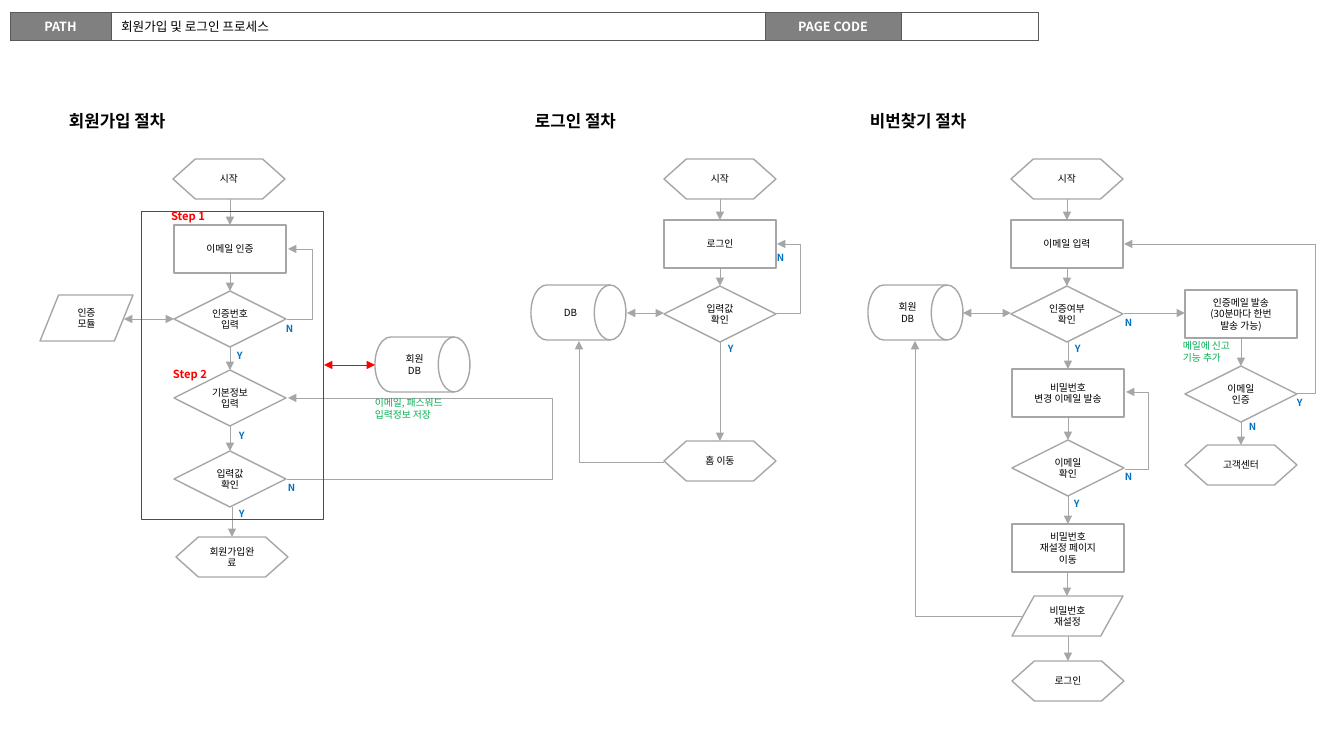
from lxml.etree import SubElement
from pptx import Presentation
from pptx.dml.color import RGBColor
from pptx.enum.shapes import MSO_CONNECTOR, MSO_SHAPE
from pptx.enum.text import MSO_ANCHOR, PP_ALIGN
from pptx.oxml.ns import qn
from pptx.util import Pt

PX = 914400 / 100.8
FONT = "Noto Sans CJK KR"
COLORS = {"black": "000000", "white": "FFFFFF", "head": "808080", "border": "595959",
          "line": "A6A6A6", "red": "FF0000", "answer": "0070C0", "note": "00B050"}

HEADER = [("PATH", 101, True), ("회원가입 및 로그인 프로세스", 654, False),
          ("PAGE CODE", 136, True), ("", 137, False)]
HEADER_BOX = (10, 12, 23)  # left, top, height

# kind: preset, width, height
KINDS = {"prep": (MSO_SHAPE.FLOWCHART_PREPARATION, 112, 40),
         "process": (MSO_SHAPE.FLOWCHART_PROCESS, 112, 48),
         "decision": (MSO_SHAPE.FLOWCHART_DECISION, 112, 56),
         "drum": (MSO_SHAPE.FLOWCHART_DIRECT_ACCESS_STORAGE, 95, 55),
         "module": (MSO_SHAPE.FLOWCHART_DATA, 93, 46),
         "reset": (MSO_SHAPE.FLOWCHART_DATA, 111, 40)}

# each chain runs downwards, one arrow between neighbours: kind, left, top, text
CHAINS = [
    [("prep", 173, 159, "시작"), ("process", 174, 225, "이메일 인증"),
     ("decision", 174, 291, "인증번호입력"), ("decision", 174, 370, "기본정보입력"),
     ("decision", 174, 451, "입력값 확인"), ("prep", 176, 537, "회원가입완료")],
    [("prep", 664, 159, "시작"), ("process", 664, 220, "로그인"),
     ("decision", 664, 286, "입력값 확인"), ("prep", 664, 441, "홈 이동")],
    [("prep", 1011, 159, "시작"), ("process", 1011, 220, "이메일 입력"),
     ("decision", 1011, 286, "인증여부 확인"),
     ("process", 1012, 369, "비밀번호\n변경 이메일 발송"),
     ("decision", 1012, 440, "이메일 확인"),
     ("process", 1012, 524, "비밀번호\n재설정 페이지\n이동"),
     ("reset", 1012, 596, "비밀번호\n재설정"), ("prep", 1012, 661, "로그인")],
    [("process", 1185, 290, "인증메일 발송\n(30분마다 한번\n발송 가능)"),
     ("decision", 1185, 366, "이메일 인증"), ("prep", 1185, 445, "고객센터")],
    [("module", 40, 295, "인증\n모듈")],
    [("drum", 375, 337, "회원 DB")],
    [("drum", 531, 285, "DB")],
    [("drum", 868, 285, "회원 DB")],
]

# x1, x2, y, colour, arrow at both ends
LEVEL_ARROWS = [(174, 124, 319, "line", True), (375, 324, 365, "red", True),
                (664, 627, 313, "line", True), (1011, 963, 313, "line", True),
                (1124, 1185, 313, "line", False)]
# x1, y1, x2, y2, x of the upright part
LOOPS = [(287, 319, 288, 249, 313), (287, 479, 288, 398, 554), (776, 313, 777, 244, 801),
         (1125, 469, 1126, 392, 1149), (1297, 393, 1124, 244, 1315)]
CORNERS = [(664, 462, 579, 341), (1023, 616, 915, 341)]

STEP_FRAME = (141, 211, 182, 308)
STEPS = [("Step 1", 160, 205), ("Step 2", 162, 363)]
STEP_SIZE = (52, 23)

# style: width, height, size, colour, bold
STYLES = {"title": (398, 30, 12, "black", True), "answer": (63, 22, 7, "answer", True),
          "note": (121, 34, 7, "note", False)}
TEXTS = {
    "title": [("회원가입 절차", 59, 106), ("로그인 절차", 525, 106), ("비번찾기 절차", 860, 106)],
    "answer": [("Y", 227, 345), ("N", 276, 318), ("Y", 229, 425), ("N", 278, 477),
               ("Y", 229, 503), ("N", 767, 247), ("Y", 718, 338), ("N", 1115, 312),
               ("Y", 1065, 338), ("N", 1115, 466), ("Y", 1064, 493), ("Y", 1287, 392),
               ("N", 1239, 416)],
    "note": [("메일에 신고\n기능 추가", 1173, 335), ("이메일, 패스워드\n입력정보 저장", 365, 392)],
}


def emu(*lengths):
    """Turn pixels into EMU."""
    return [round(n * PX) for n in lengths]


def rgb(name):
    """Give the named colour."""
    return RGBColor.from_string(COLORS[name])


def write(tf, text, size, color, bold=False, align=PP_ALIGN.LEFT):
    """Write each line of text as one paragraph."""
    for i, line in enumerate(text.split("\n")):
        p = tf.add_paragraph() if i else tf.paragraphs[0]
        p.alignment = align
        r = p.add_run()
        r.text = line
        r.font.size, r.font.bold, r.font.name = Pt(size), bold, FONT
        r.font.color.rgb = rgb(color)
        SubElement(r._r.get_or_add_rPr(), qn("a:ea"), typeface=FONT)


def add_outline(s, preset, box, color=None, width=1):
    """Add an unfilled shape, with a line if a colour is given."""
    sp = s.shapes.add_shape(preset, *emu(*box))
    sp.shadow.inherit = False
    sp.fill.background()
    if color:
        sp.line.color.rgb, sp.line.width = rgb(color), Pt(width)
    else:
        sp.line.fill.background()
    return sp


def add_arrow(s, x1, y1, x2, y2, kind=MSO_CONNECTOR.STRAIGHT, color="line", both=False):
    """Add a connector with an arrowhead at its end, or at both ends."""
    c = s.shapes.add_connector(kind, *emu(x1, y1, x2, y2))
    c.line.color.rgb, c.line.width = rgb(color), Pt(0.5)
    ln = c.line._get_or_add_ln()
    for end in ("a:headEnd", "a:tailEnd") if both else ("a:tailEnd",):
        SubElement(ln, qn(end), type="triangle")
    SubElement(c._element.spPr, qn("a:effectLst"))
    return c


def add_loop(s, x1, y1, x2, y2, via):
    """Add a three-part elbow whose upright part stands at via."""
    c = add_arrow(s, x1, y1, x2, y2, MSO_CONNECTOR.ELBOW)
    geom = c._element.spPr.find(qn("a:prstGeom"))
    av = geom.find(qn("a:avLst"))
    if av is None:
        av = SubElement(geom, qn("a:avLst"))
    bend = round((via - x1) / (x2 - x1) * 100000)
    SubElement(av, qn("a:gd"), name="adj1", fmla=f"val {bend}")


def add_corner(s, x1, y1, x2, y2):
    """Add a two-part elbow, level first and then upright."""
    c = add_arrow(s, x1, y1, x2, y2, MSO_CONNECTOR.ELBOW)
    c._element.spPr.find(qn("a:prstGeom")).set("prst", "bentConnector2")


def add_chain(s, chain):
    """Add the nodes of a chain and the arrows between them."""
    bottom = None
    for kind, left, top, text in chain:
        preset, w, h = KINDS[kind]
        sp = add_outline(s, preset, (left, top, w, h), "line")
        write(sp.text_frame, text, 7, "black", align=PP_ALIGN.CENTER)
        if bottom:
            x = left + w // 2
            add_arrow(s, x, bottom, x, top)
        bottom = top + h


def add_header(s):
    """Add the header table with its cell borders."""
    left, top, height = HEADER_BOX
    width = sum(w for _, w, _ in HEADER)
    table = s.shapes.add_table(1, len(HEADER), *emu(left, top, width, height)).table
    table.rows[0].height = emu(height)[0]
    for i, (text, w, is_label) in enumerate(HEADER):
        table.columns[i].width = emu(w)[0]
        cell = table.cell(0, i)
        cell.margin_top = cell.margin_bottom = 0
        cell.vertical_anchor = MSO_ANCHOR.MIDDLE
        write(cell.text_frame, text, 9, "white" if is_label else "black", is_label,
              PP_ALIGN.CENTER if is_label else PP_ALIGN.LEFT)
        tcPr = cell._tc.get_or_add_tcPr()
        for side in ("a:lnL", "a:lnR", "a:lnT", "a:lnB"):
            ln = SubElement(tcPr, qn(side), w=str(Pt(0.5)))
            SubElement(SubElement(ln, qn("a:solidFill")), qn("a:srgbClr"), val=COLORS["border"])
        cell.fill.solid()
        cell.fill.fore_color.rgb = rgb("head" if is_label else "white")


prs = Presentation()
prs.slide_width, prs.slide_height = emu(1344, 756)
s = prs.slides.add_slide(prs.slide_layouts[6])

add_header(s)
for chain in CHAINS:
    add_chain(s, chain)
for x1, x2, y, color, both in LEVEL_ARROWS:
    add_arrow(s, x1, y, x2, y, color=color, both=both)
for loop in LOOPS:
    add_loop(s, *loop)
for corner in CORNERS:
    add_corner(s, *corner)

add_outline(s, MSO_SHAPE.RECTANGLE, STEP_FRAME, "red", 0.25)
for text, left, top in STEPS:
    sp = add_outline(s, MSO_SHAPE.ROUNDED_RECTANGLE, (left, top, *STEP_SIZE))
    sp.text_frame.word_wrap = False
    write(sp.text_frame, text, 8, "red", True)

for style, items in TEXTS.items():
    w, h, size, color, bold = STYLES[style]
    for text, left, top in items:
        tf = s.shapes.add_textbox(*emu(left, top, w, h)).text_frame
        tf.word_wrap = True
        write(tf, text, size, color, bold)

prs.save("out.pptx")
